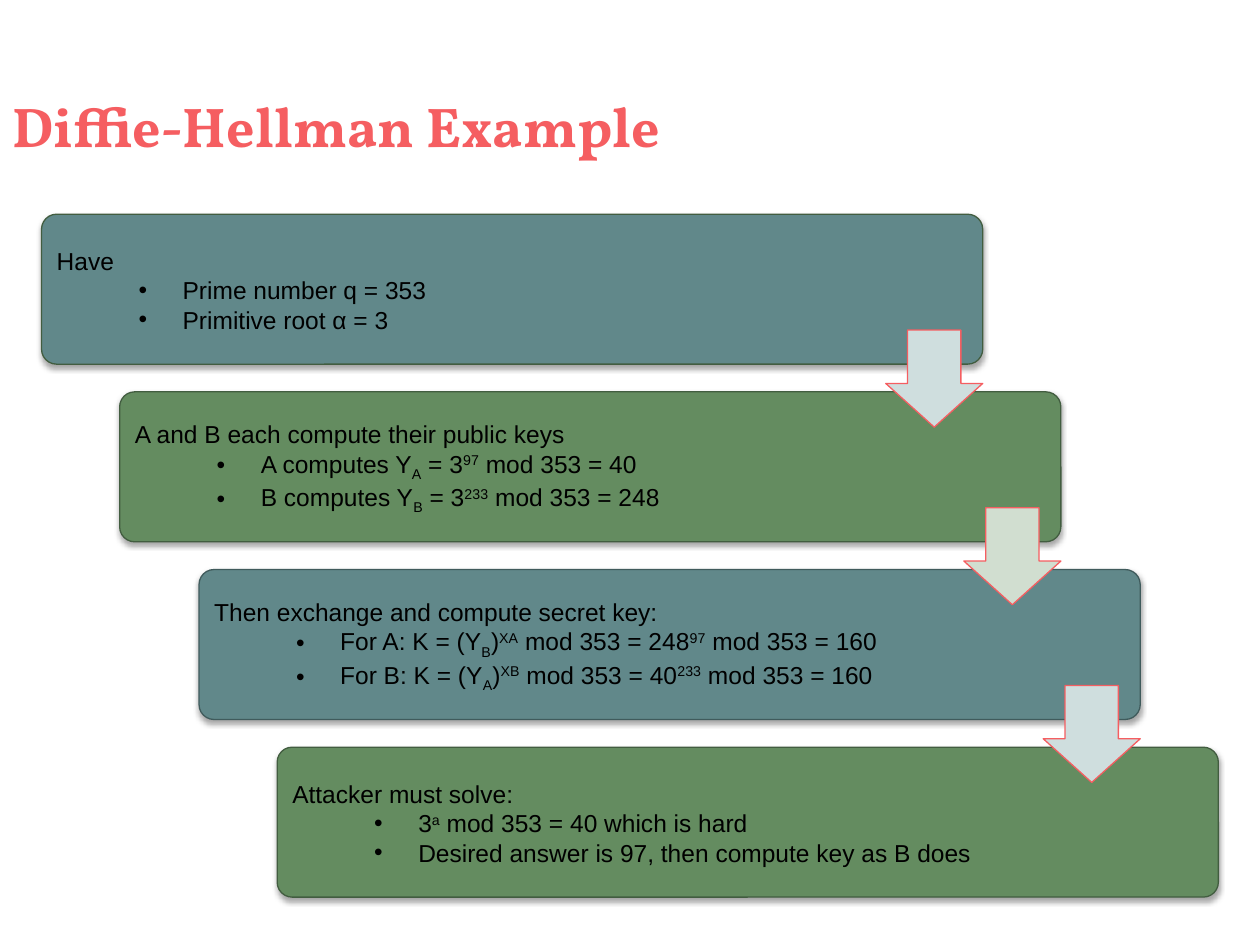
from lxml import etree
from pptx import Presentation
from pptx import util as u
from pptx.dml.color import RGBColor
from pptx.enum import shapes, text
from pptx.oxml import ns, parse_xml

PX = 9144  # EMU; 100 px to the inch

CORAL = RGBColor(0xF5, 0x5E, 0x61)
TEAL = RGBColor(0x61, 0x88, 0x8A)
GREEN = RGBColor(0x64, 0x8C, 0x60)
DARK_TEAL = RGBColor(0x40, 0x5B, 0x5C)
DARK_GREEN = RGBColor(0x42, 0x5D, 0x40)
PALE_TEAL = RGBColor(0xCF, 0xDE, 0xDE)
PALE_GREEN = RGBColor(0xD1, 0xDE, 0xD0)
BLACK = RGBColor(0, 0, 0)

CARD_WIDTH, CARD_HEIGHT = 747, 119
ARROW = 77
FIRST_LEFT, LAST_LEFT = 33, 220
FIRST_TOP, STEP_DOWN = 170, 141

# "|" parts the spans; a span that starts with "_" is lowered, with "^" raised.
STEPS = [
    (TEAL, DARK_GREEN, PALE_TEAL, "Have",
     ["Prime number q = 353", "Primitive root α = 3"]),
    (GREEN, DARK_GREEN, PALE_GREEN, "A and B each compute their public keys",
     ["A computes Y|_A| = 3|^97| mod 353 = 40",
      "B computes Y|_B| = 3|^233| mod 353 = 248"]),
    (TEAL, DARK_TEAL, PALE_TEAL, "Then exchange and compute secret key:",
     ["For A: K = (Y|_B|)|^XA| mod 353 = 248|^97| mod 353 = 160",
      "For B: K = (Y|_A|)|^XB| mod 353 = 40|^233| mod 353 = 160"]),
    (GREEN, DARK_GREEN, None, "Attacker must solve:",
     ["3|^a| mod 353 = 40 which is hard",
      "Desired answer is 97, then compute key as B does"]),
]
BASELINES = {"_": "-25000", "^": "30000"}

SHADOW = (
    f'<a:effectLst {ns.nsdecls("a")}><a:outerShdw blurRad="39370" dist="22860" '
    'dir="5400000" rotWithShape="0"><a:srgbClr val="000000">'
    '<a:alpha val="35000"/></a:srgbClr></a:outerShdw></a:effectLst>'
)


def add_text(para, content, *, font, size, color, bold=False):
    for part in content.split("|"):
        baseline = BASELINES.get(part[:1])
        span = para.add_run()
        span.text = part[1:] if baseline else part
        span.font.name = font
        span.font.size = u.Pt(size)
        span.font.color.rgb = color
        span.font.bold = bold
        if baseline:
            span.font._element.set("baseline", baseline)


def add_bullet(para):
    para.level = 1
    props = para._p.get_or_add_pPr()
    props.set("marL", str(100 * PX))
    props.set("indent", str(-35 * PX))
    color = etree.SubElement(props, ns.qn("a:buClr"))
    etree.SubElement(color, ns.qn("a:srgbClr"), val=str(BLACK))
    etree.SubElement(props, ns.qn("a:buFont"), typeface="Arial")
    etree.SubElement(props, ns.qn("a:buChar"), char="•")


def add_frame(page, left, top, width, height, *, anchor, inset_x, inset_y):
    """Add an empty wrapping text box and return its text frame."""
    box = page.shapes.add_textbox(left * PX, top * PX, width * PX, height * PX)
    frame = box.text_frame
    frame.word_wrap = True
    frame.vertical_anchor = anchor
    frame.margin_left = frame.margin_right = inset_x * PX
    frame.margin_top = frame.margin_bottom = inset_y * PX
    return frame


def add_filled(page, preset, left, top, width, height, *, fill, line, adjust):
    shape = page.shapes.add_shape(
        preset, left * PX, top * PX, width * PX, height * PX)
    shape.shadow.inherit = False
    shape.fill.solid()
    shape.fill.fore_color.rgb = fill
    shape.line.color.rgb = line
    shape.line.width = u.Pt(0.75)
    for index, value in enumerate(adjust):
        shape.adjustments[index] = value
    return shape


def add_title(page, left, top, width, height):
    frame = add_frame(page, left, top, width, height,
                      anchor=text.MSO_ANCHOR.BOTTOM, inset_x=10, inset_y=5)
    add_text(frame.paragraphs[0], "Diffie-Hellman Example",
             font="Vollkorn", size=32, color=CORAL, bold=True)


def add_card(page, left, top, *, fill, line, heading, bullets):
    card = add_filled(page, shapes.MSO_SHAPE.ROUNDED_RECTANGLE, left, top,
                      CARD_WIDTH, CARD_HEIGHT, fill=fill, line=line, adjust=[0.1])
    props = card._element.spPr
    props.replace(props.find(ns.qn("a:effectLst")), parse_xml(SHADOW))

    frame = add_frame(page, left + 4, top + 4, 604, CARD_HEIGHT - 7,
                      anchor=text.MSO_ANCHOR.MIDDLE, inset_x=8, inset_y=8)
    style = dict(font="Arial", size=14, color=BLACK)
    add_text(frame.paragraphs[0], heading, **style)
    for bullet in bullets:
        para = frame.add_paragraph()
        add_bullet(para)
        add_text(para, bullet, **style)


def add_step_arrow(page, left, top, fill):
    """Add the arrow that leads from the card at left, top to the next one."""
    add_filled(page, shapes.MSO_SHAPE.DOWN_ARROW, left + CARD_WIDTH - ARROW,
               top + 92, ARROW, ARROW, fill=fill, line=CORAL, adjust=[0.55, 0.45])


def add_staircase(page):
    """Add the cards, each lower and further right, then the arrows on top."""
    shift = LAST_LEFT - FIRST_LEFT
    places = [(FIRST_LEFT + round(shift * i / (len(STEPS) - 1)),
               FIRST_TOP + STEP_DOWN * i) for i in range(len(STEPS))]
    for place, (fill, line, _, heading, bullets) in zip(places, STEPS):
        add_card(page, *place, fill=fill, line=line,
                 heading=heading, bullets=bullets)
    for place, (_, _, arrow_fill, _, _) in zip(places, STEPS):
        if arrow_fill:
            add_step_arrow(page, *place, arrow_fill)


def main():
    deck = Presentation()
    deck.slide_width = 1000 * PX
    deck.slide_height = 750 * PX
    page = deck.slides.add_slide(deck.slide_layouts[6])
    add_title(page, 0, -11, 1000, 142)
    add_staircase(page)
    deck.save("out.pptx")


if __name__ == "__main__":
    main()
